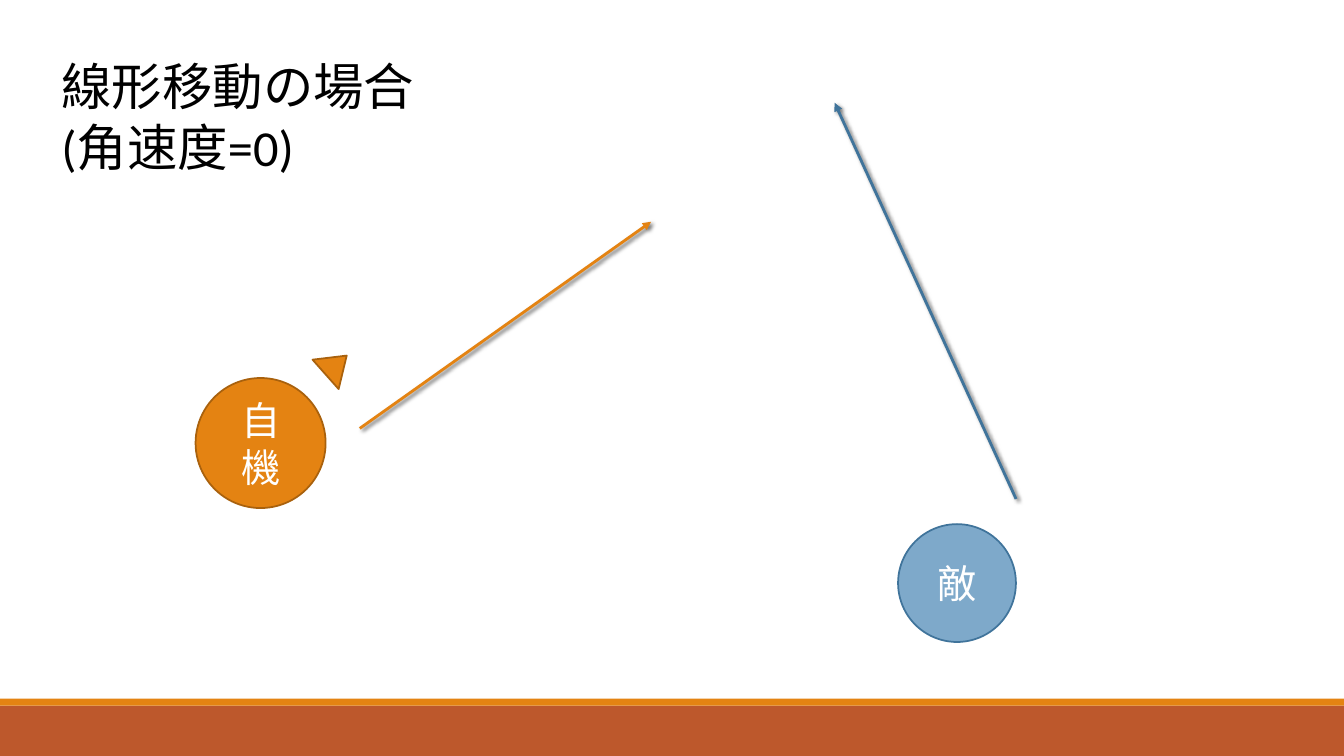
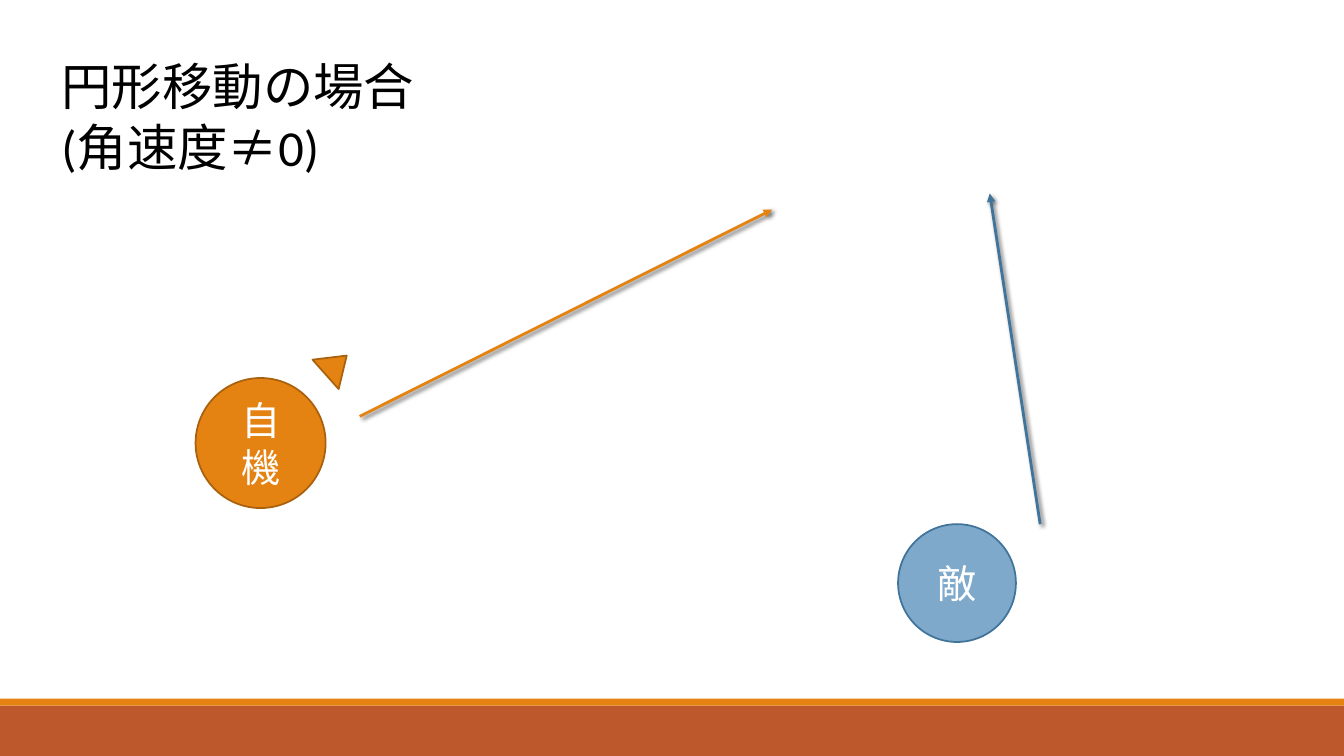
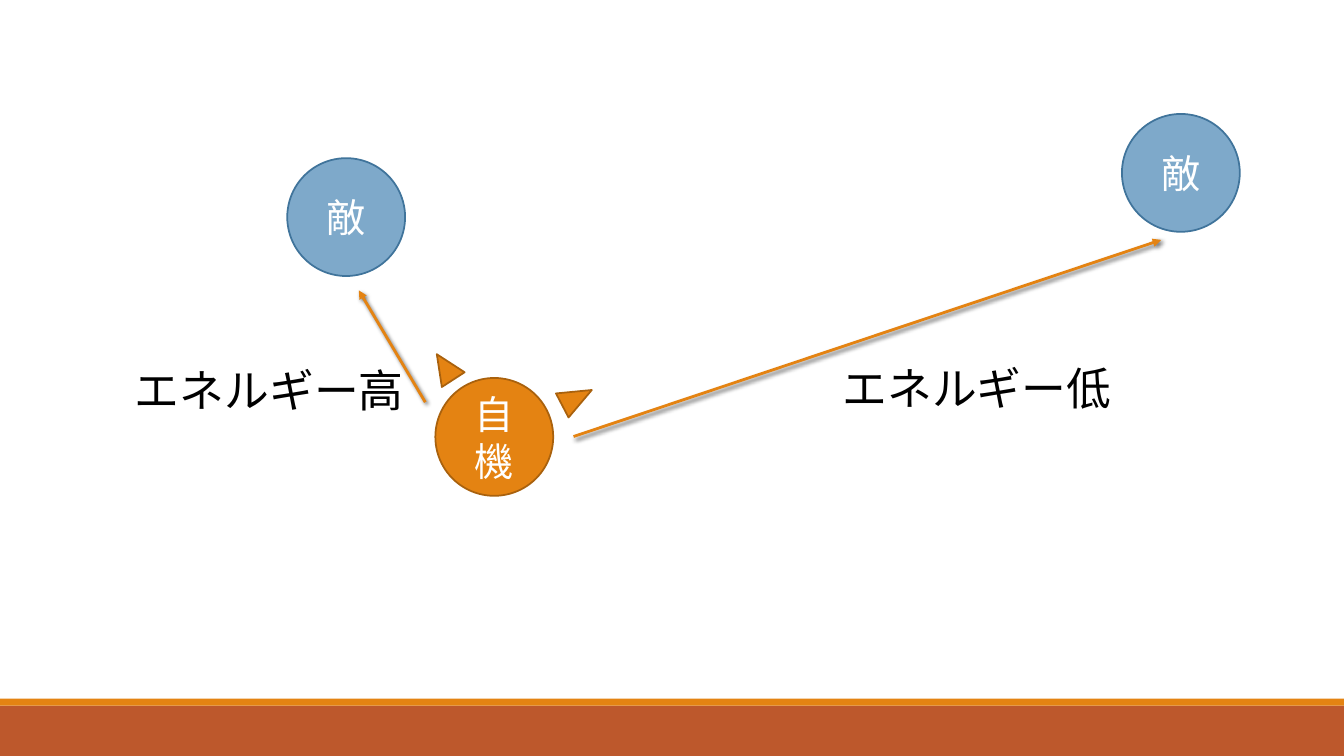
"""Build three slides on player and enemy movement."""
from lxml import etree
from pptx import Presentation
from pptx import util as u
from pptx.dml.color import RGBColor
from pptx.enum import shapes, text
from pptx.oxml import parse_xml
from pptx.oxml.ns import nsdecls, qn

FONT = "Calibri"
COLOURS = {
    "rust": "BD582C",
    "orange": "E48312",
    "brown": "A9610D",
    "sky": "7EA9CA",
    "steel": "40749B",
    "white": "FFFFFF",
    "black": "000000",
}
ROLES = {
    "player": {"name": "自機", "fill": "orange", "edge": "brown", "arrow": "orange"},
    "enemy": {"name": "敵", "fill": "sky", "edge": "steel", "arrow": "steel"},
}
SHADOW = (
    f'<a:effectLst {nsdecls("a")}>'
    '<a:outerShdw blurRad="38100" dist="25400" dir="2700000" algn="ctr" rotWithShape="0">'
    f'<a:srgbClr val="{COLOURS["black"]}"><a:alpha val="60000"/></a:srgbClr>'
    "</a:outerShdw></a:effectLst>"
)
MOTION_CIRCLES = [("player", 139.7, 270, 92.9), ("enemy", 641.5, 374.4, 84.2)]
MOTION_POINTERS = [(226.1, 250.6, 28.1, 20.2, 48.4)]
SLIDES = [
    {
        "title": ("線形移動の場合(角速度=0)", 270),
        "circles": MOTION_CIRCLES,
        "pointers": MOTION_POINTERS,
        "arrows": [("player", 257, 306, 465.1, 158.4), ("enemy", 725.8, 356.4, 596.2, 73.4)],
        "labels": [],
    },
    {
        "title": ("円形移動の場合(角速度≠0)", 273.6),
        "circles": MOTION_CIRCLES,
        "pointers": MOTION_POINTERS,
        "arrows": [("player", 257, 297.4, 551.5, 149.8), ("enemy", 743, 374.4, 707, 138.2)],
        "labels": [],
    },
    {
        "title": None,
        "circles": [("player", 311, 270, 84.2), ("enemy", 205.2, 113, 84.2),
                    ("enemy", 801.4, 81.4, 84.2)],
        "pointers": [(308.2, 251.3, 19.4, 21.6, 327.1), (402.5, 272.2, 19.4, 23.8, 62.4)],
        "arrows": [("player", 303.8, 287.3, 256.3, 207.4), ("player", 409.7, 311.8, 829.4, 171.4)],
        "labels": [("エネルギー高", 89.3, 255.6, 230.4), ("エネルギー低", 594.7, 254.2, 247)],
    },
]


def draw_shape(page, kind, left, top, width, height, fill, edge=None):
    shape = page.shapes.add_shape(kind, u.Pt(left), u.Pt(top), u.Pt(width), u.Pt(height))
    shape.shadow.inherit = False
    shape.fill.solid()
    shape.fill.fore_color.rgb = RGBColor.from_string(COLOURS[fill])
    if edge:
        shape.line.color.rgb = RGBColor.from_string(COLOURS[edge])
        shape.line.width = u.Pt(1.25)
    else:
        shape.line.fill.background()
    return shape


def write(shape, words, size, colour, align, anchor):
    frame = shape.text_frame
    frame.word_wrap = True
    frame.auto_size = text.MSO_AUTO_SIZE.NONE
    frame.vertical_anchor = anchor
    para = frame.paragraphs[0]
    para.alignment = align
    span = para.add_run()
    span.text = words
    span.font.name = FONT
    span.font.size = u.Pt(size)
    span.font.color.rgb = RGBColor.from_string(COLOURS[colour])


deck = Presentation()
deck.slide_width = u.Pt(960)
deck.slide_height = u.Pt(540)
title_only, blank = deck.slide_layouts[5], deck.slide_layouts[6]

for number, content in enumerate(SLIDES):
    page = deck.slides.add_slide(title_only if content["title"] else blank)

    if number == 0:
        for place, (top, height, colour) in enumerate([(504, 36, "rust"), (499, 5, "orange")]):
            band = draw_shape(page, shapes.MSO_SHAPE.RECTANGLE, 0, top, 960, height, colour)
            deck.slide_master.element.cSld.spTree.insert(2 + place, band.element)

    if content["title"]:
        words, width = content["title"]
        title = page.shapes.title
        title.left, title.top = u.Pt(36.7), u.Pt(36)
        title.width, title.height = u.Pt(width), u.Pt(94.3)
        write(title, words, 36, "black", text.PP_ALIGN.LEFT, text.MSO_ANCHOR.TOP)

    for role, left, top, size in content["circles"]:
        look = ROLES[role]
        circle = draw_shape(page, shapes.MSO_SHAPE.OVAL, left, top, size, size,
                            look["fill"], look["edge"])
        write(circle, look["name"], 28, "white", text.PP_ALIGN.CENTER, text.MSO_ANCHOR.MIDDLE)

    for left, top, width, height, angle in content["pointers"]:
        pointer = draw_shape(page, shapes.MSO_SHAPE.ISOSCELES_TRIANGLE, left, top,
                             width, height, "orange", "brown")
        pointer.rotation = angle

    for role, *ends in content["arrows"]:
        arrow = page.shapes.add_connector(shapes.MSO_CONNECTOR.STRAIGHT, *map(u.Pt, ends))
        arrow.line.color.rgb = RGBColor.from_string(COLOURS[ROLES[role]["arrow"]])
        arrow.line.width = u.Pt(2)
        outline = arrow.element.spPr.find(qn("a:ln"))
        etree.SubElement(outline, qn("a:tailEnd"), type="triangle")
        arrow.element.spPr.append(parse_xml(SHADOW))

    for words, left, top, width in content["labels"]:
        box = page.shapes.add_textbox(u.Pt(left), u.Pt(top), u.Pt(width), u.Pt(46))
        write(box, words, 32, "black", text.PP_ALIGN.LEFT, text.MSO_ANCHOR.TOP)

deck.save("out.pptx")
